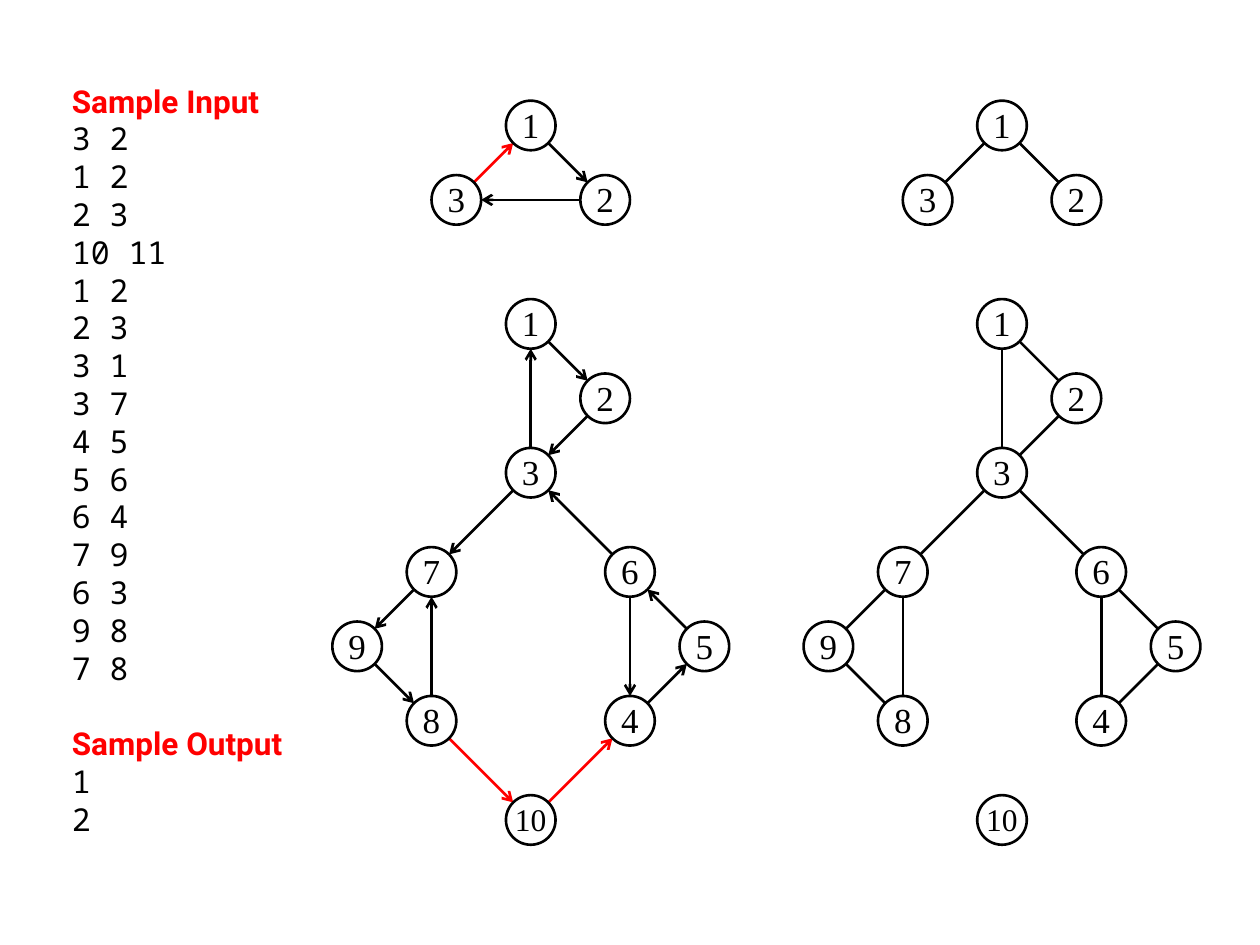
from math import hypot

from lxml.etree import SubElement
from pptx import Presentation
from pptx.dml.color import RGBColor
from pptx.enum.shapes import MSO_CONNECTOR, MSO_SHAPE
from pptx.enum.text import MSO_ANCHOR, PP_ALIGN
from pptx.oxml.ns import qn
from pptx.util import Cm, Pt

COLORS = {"ink": "000000", "accent": "FF0000", "paper": "FFFFFF"}
RADIUS = 0.5
LINE_HEIGHT = Pt(21.6)
DIRECTED_X, UNDIRECTED_X = 10.7, 20.2
SMALL_Y, LARGE_Y = 2.53, 6.53

SMALL_NODES = {1: (0, 0), 2: (1.5, 1.5), 3: (-1.5, 1.5)}
SMALL_CYCLE = [(1, 2), (2, 3)]
SMALL_ADDED = [(3, 1)]
SMALL_TREE = [(1, 2), (1, 3)]

LARGE_NODES = {
    1: (0, 0), 2: (1.5, 1.5), 3: (0, 3),
    4: (2, 8), 5: (3.5, 6.5), 6: (2, 5),
    7: (-2, 5), 8: (-2, 8), 9: (-3.5, 6.5), 10: (0, 10),
}
LARGE_EDGES = [
    (1, 2), (2, 3), (3, 1), (3, 7), (4, 5), (5, 6),
    (6, 4), (7, 9), (6, 3), (9, 8), (8, 7),
]
LARGE_ADDED = [(8, 10), (10, 4)]

SAMPLES = [
    ("Sample Input", [
        "3 2", "1 2", "2 3", "10 11", "1 2", "2 3", "3 1", "3 7",
        "4 5", "5 6", "6 4", "7 9", "6 3", "9 8", "7 8",
    ]),
    ("Sample Output", ["1", "2"]),
]


def color(name):
    return RGBColor.from_string(COLORS[name])


def add_run(p, text, font, size, name="ink", bold=False):
    r = p.add_run()
    r.text = text
    r.font.name = font
    r.font.size = Pt(size)
    r.font.bold = bold
    r.font.color.rgb = color(name)


def add_samples(s):
    tf = s.shapes.add_textbox(Cm(1.2), Cm(1.52), Cm(5), Cm(16)).text_frame
    tf.word_wrap = True
    p = tf.paragraphs[0]
    for i, (heading, lines) in enumerate(SAMPLES):
        if i:
            p = tf.add_paragraph()
            p.space_before = LINE_HEIGHT
        add_run(p, heading, "Roboto", 18, "accent", True)
        for line in lines:
            add_run(tf.add_paragraph(), line, "Noto Sans Mono", 18)
    for p in tf.paragraphs:
        p.line_spacing = LINE_HEIGHT


def add_node(s, label, x, y):
    sp = s.shapes.add_shape(MSO_SHAPE.OVAL, Cm(x - RADIUS), Cm(y - RADIUS),
                            Cm(2 * RADIUS), Cm(2 * RADIUS))
    sp.shadow.inherit = False
    sp.fill.solid()
    sp.fill.fore_color.rgb = color("paper")
    sp.line.color.rgb = color("ink")
    sp.line.width = Pt(1.5)
    tf = sp.text_frame
    tf.word_wrap = False
    tf.vertical_anchor = MSO_ANCHOR.MIDDLE
    tf.margin_left = tf.margin_right = Cm(0.25)
    tf.margin_top, tf.margin_bottom = Cm(0.1), Cm(0.15)
    p = tf.paragraphs[0]
    p.alignment = PP_ALIGN.CENTER
    add_run(p, str(label), "Times New Roman", 20 if label < 10 else 18)


def add_edge(s, start, end, arrow, name):
    (x1, y1), (x2, y2) = start, end
    length = hypot(x2 - x1, y2 - y1)
    dx, dy = (x2 - x1) / length * RADIUS, (y2 - y1) / length * RADIUS
    line = s.shapes.add_connector(MSO_CONNECTOR.STRAIGHT, Cm(x1 + dx), Cm(y1 + dy),
                                  Cm(x2 - dx), Cm(y2 - dy))
    line.line.color.rgb = color(name)
    line.line.width = Pt(1.5)
    if arrow:
        SubElement(line.line._get_or_add_ln(), qn("a:tailEnd"), type="arrow")
    SubElement(line._element.spPr, qn("a:effectLst"))


def add_graph(s, left, top, nodes, edges, added=(), arrow=False):
    centers = {n: (left + x, top + y) for n, (x, y) in nodes.items()}
    for group, name in ((edges, "ink"), (added, "accent")):
        for a, b in group:
            add_edge(s, centers[a], centers[b], arrow, name)
    for label, (x, y) in centers.items():
        add_node(s, label, x, y)


def main():
    prs = Presentation()
    prs.slide_width, prs.slide_height = Cm(25.4), Cm(19.05)
    s = prs.slides.add_slide(prs.slide_layouts[6])
    add_samples(s)
    add_graph(s, DIRECTED_X, SMALL_Y, SMALL_NODES, SMALL_CYCLE, SMALL_ADDED, True)
    add_graph(s, UNDIRECTED_X, SMALL_Y, SMALL_NODES, SMALL_TREE)
    add_graph(s, DIRECTED_X, LARGE_Y, LARGE_NODES, LARGE_EDGES, LARGE_ADDED, True)
    add_graph(s, UNDIRECTED_X, LARGE_Y, LARGE_NODES, LARGE_EDGES)
    prs.save("out.pptx")


if __name__ == "__main__":
    main()
